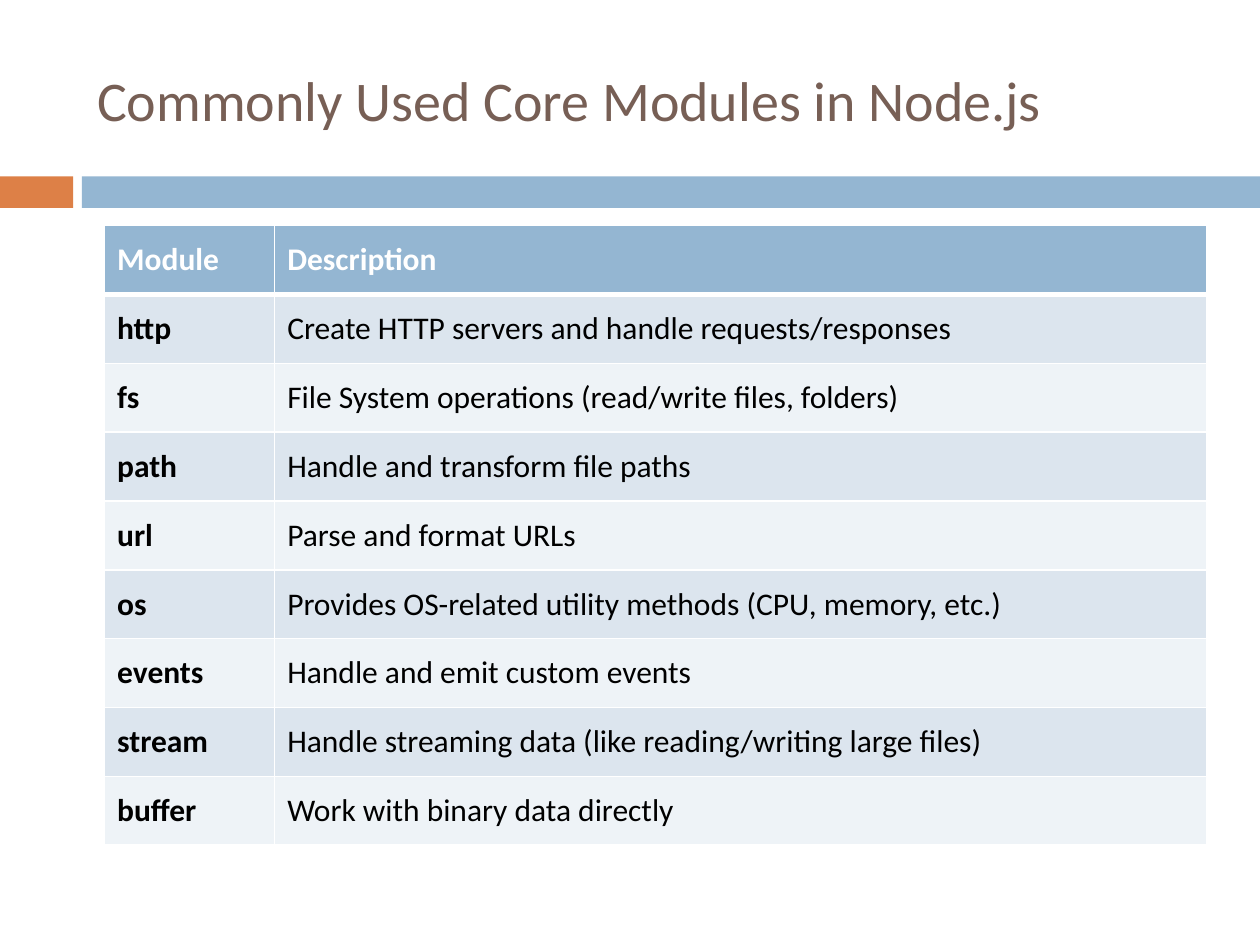
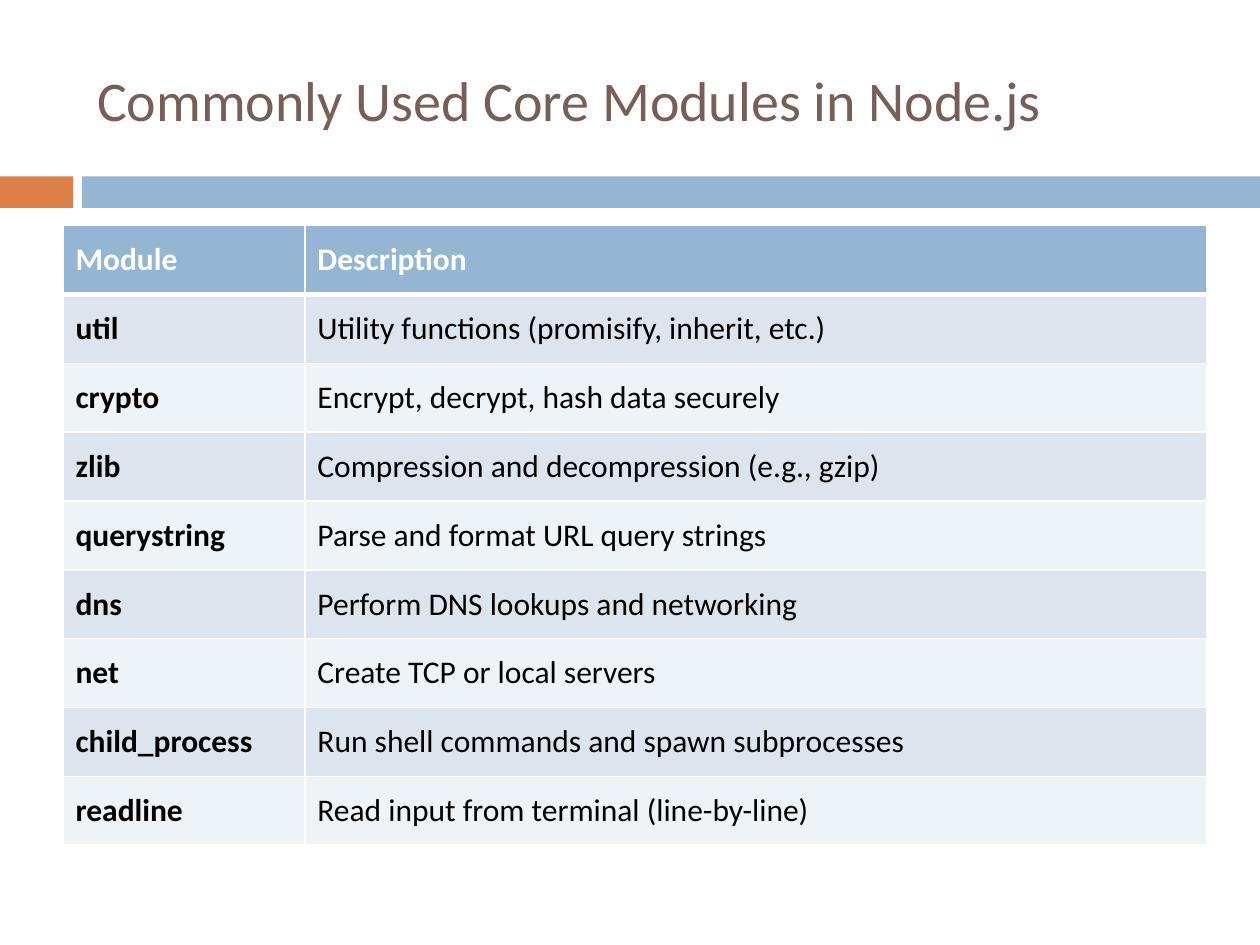
import dataclasses

import lxml.etree
import pptx
import pptx.dml.color
import pptx.enum.shapes
import pptx.enum.text
import pptx.oxml.ns
import pptx.util

SLIDE_WIDTH, SLIDE_HEIGHT = 10, 7.5
FONT = "Calibri"
ORANGE, BLUE, BROWN = "DD8047", "94B6D2", "775F55"
WHITE, BLACK = "FFFFFF", "000000"
ROW_FILLS = ("DCE5EE", "EEF3F7")
TITLE_ONLY_LAYOUT = 5


@dataclasses.dataclass
class Box:
    """A region of the slide, in inches."""
    left: float
    top: float
    width: float
    height: float

    def lengths(self):
        return [pptx.util.Inches(value) for value in dataclasses.astuple(self)]


# Regions shared by the slides
TITLE_BOX = Box(0.67, 0.25, 8.92, 1.08)
BAND_BOX = Box(0, 1.4, SLIDE_WIDTH, 0.25)
BAND_ACCENT, BAND_GAP = 0.58, 0.07
TABLE_TOP, TABLE_RIGHT, TABLE_HEIGHT = 1.79, 9.58, 4.92

TITLE = "Commonly Used Core Modules in Node.js"
TITLE_FORMAT = {"name": FONT, "size": pptx.util.Pt(32), "bold": False}
CELL_FORMAT = {"name": FONT, "size": pptx.util.Pt(18)}
HEADER = ("Module", "Description")

# Left edge, width of the module column, and rows of each table
MODULE_TABLES = [
    (0.83, 1.35, [
        ("http", "Create HTTP servers and handle requests/responses"),
        ("fs", "File System operations (read/write files, folders)"),
        ("path", "Handle and transform file paths"),
        ("url", "Parse and format URLs"),
        ("os", "Provides OS-related utility methods (CPU, memory, etc.)"),
        ("events", "Handle and emit custom events"),
        ("stream", "Handle streaming data (like reading/writing large files)"),
        ("buffer", "Work with binary data directly"),
    ]),
    (0.5, 1.92, [
        ("util", "Utility functions (promisify, inherit, etc.)"),
        ("crypto", "Encrypt, decrypt, hash data securely"),
        ("zlib", "Compression and decompression (e.g., gzip)"),
        ("querystring", "Parse and format URL query strings"),
        ("dns", "Perform DNS lookups and networking"),
        ("net", "Create TCP or local servers"),
        ("child_process", "Run shell commands and spawn subprocesses"),
        ("readline", "Read input from terminal (line-by-line)"),
    ]),
]


def color(hex_string):
    return pptx.dml.color.RGBColor.from_string(hex_string)


def fill_with(target, hex_string):
    target.fill.solid()
    target.fill.fore_color.rgb = color(hex_string)


def format_font(font, values, hex_string):
    for name, value in values.items():
        setattr(font, name, value)
    font.color.rgb = color(hex_string)


def add_title(slide, box, text):
    title = slide.shapes.title
    title.left, title.top, title.width, title.height = box.lengths()
    frame = title.text_frame
    frame.text = text
    frame.word_wrap = True
    frame.vertical_anchor = pptx.enum.text.MSO_ANCHOR.MIDDLE
    paragraph = frame.paragraphs[0]
    paragraph.alignment = pptx.enum.text.PP_ALIGN.LEFT
    format_font(paragraph.runs[0].font, TITLE_FORMAT, BROWN)


def add_band(slide, box):
    """Short accent block, a gap, then the band to the right edge."""
    start = BAND_ACCENT + BAND_GAP
    parts = [(0, BAND_ACCENT, ORANGE), (start, box.width - start, BLUE)]
    for offset, width, hex_string in parts:
        part = Box(box.left + offset, box.top, width, box.height)
        shape = slide.shapes.add_shape(
            pptx.enum.shapes.MSO_SHAPE.RECTANGLE, *part.lengths())
        shape.shadow.inherit = False
        fill_with(shape, hex_string)
        shape.line.fill.background()


def add_borders(cell, widths):
    """Draw white cell borders; widths maps each side to points."""
    properties = cell._tc.get_or_add_tcPr()
    for side, width in widths.items():
        line = lxml.etree.SubElement(
            properties, pptx.oxml.ns.qn("a:ln" + side),
            w=str(pptx.util.Pt(width)))
        fill = lxml.etree.SubElement(line, pptx.oxml.ns.qn("a:solidFill"))
        lxml.etree.SubElement(fill, pptx.oxml.ns.qn("a:srgbClr"), val=WHITE)


def add_module_table(slide, box, module_width, modules):
    rows = [HEADER] + modules
    table = slide.shapes.add_table(
        len(rows), len(HEADER), *box.lengths()).table
    table.horz_banding = False
    for column, width in zip(table.columns,
                             (module_width, box.width - module_width)):
        column.width = pptx.util.Inches(width)
    for row in table.rows:
        row.height = pptx.util.Inches(box.height / len(rows))

    for row_index, texts in enumerate(rows):
        is_header = row_index == 0
        widths = {"L": 1, "R": 1,
                  "T": 3 if row_index == 1 else 1,
                  "B": 3 if is_header else 1}
        for column_index, text in enumerate(texts):
            cell = table.cell(row_index, column_index)
            cell.text = text
            cell.vertical_anchor = pptx.enum.text.MSO_ANCHOR.MIDDLE
            add_borders(cell, widths)
            fill_with(cell, BLUE if is_header else ROW_FILLS[(row_index - 1) % 2])
            font = cell.text_frame.paragraphs[0].runs[0].font
            format_font(font,
                        {**CELL_FORMAT, "bold": is_header or column_index == 0},
                        WHITE if is_header else BLACK)


def add_module_slide(presentation, table_left, module_width, modules):
    layout = presentation.slide_layouts[TITLE_ONLY_LAYOUT]
    slide = presentation.slides.add_slide(layout)
    add_band(slide, BAND_BOX)
    add_title(slide, TITLE_BOX, TITLE)
    table_box = Box(table_left, TABLE_TOP,
                    TABLE_RIGHT - table_left, TABLE_HEIGHT)
    add_module_table(slide, table_box, module_width, modules)


def main():
    presentation = pptx.Presentation()
    presentation.slide_width = pptx.util.Inches(SLIDE_WIDTH)
    presentation.slide_height = pptx.util.Inches(SLIDE_HEIGHT)
    for table_left, module_width, modules in MODULE_TABLES:
        add_module_slide(presentation, table_left, module_width, modules)
    presentation.save("out.pptx")


if __name__ == "__main__":
    main()
